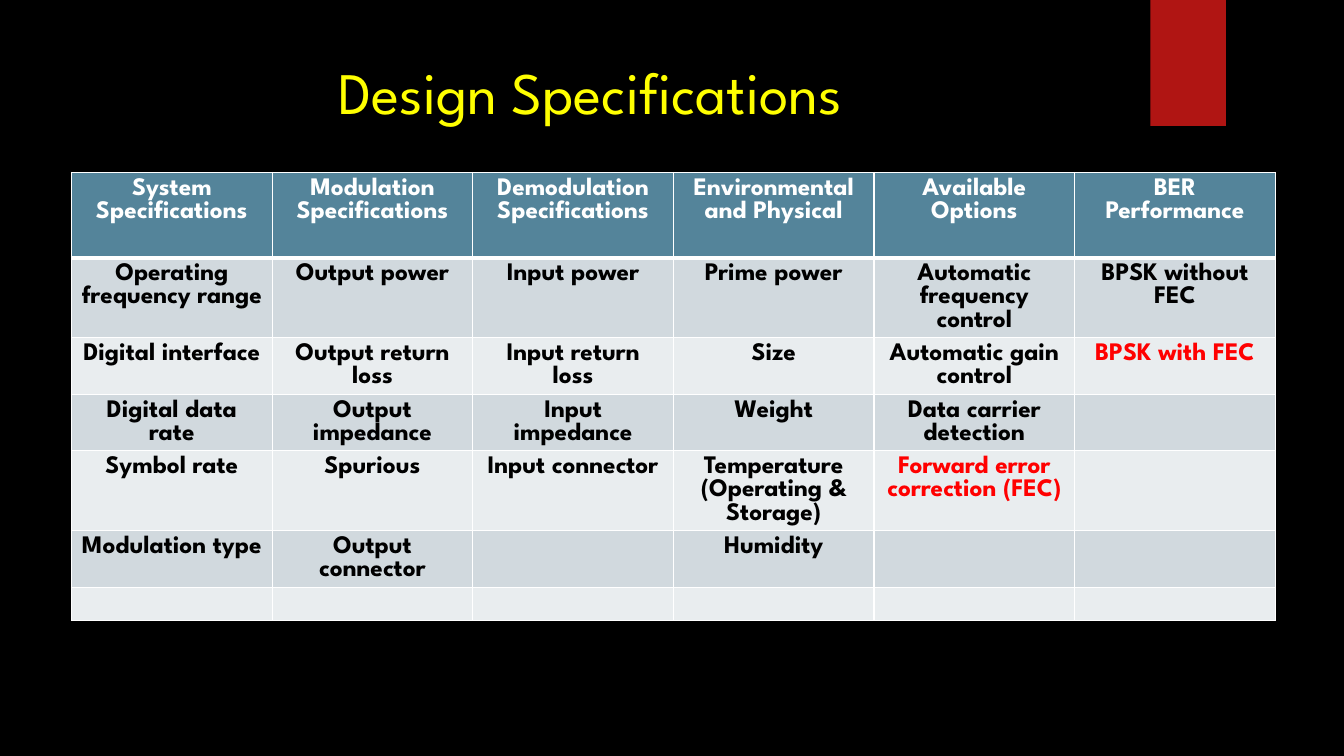
from dataclasses import dataclass

from lxml import etree
from pptx import Presentation
from pptx.dml.color import RGBColor
from pptx.enum.shapes import MSO_SHAPE
from pptx.enum.text import MSO_ANCHOR, MSO_AUTO_SIZE, PP_ALIGN
from pptx.oxml.ns import qn
from pptx.util import Inches, Pt

RECTANGLE = MSO_SHAPE.RECTANGLE
TOP = MSO_ANCHOR.TOP
NO_AUTOFIT = MSO_AUTO_SIZE.NONE
CENTER = PP_ALIGN.CENTER
TITLE_ONLY_LAYOUT = 5


@dataclass(frozen=True)
class Theme:
    font: str = "League Spartan"
    title_size: int = 42
    table_size: int = 18
    background: str = "000000"
    title: str = "FFFF00"
    ribbon: str = "B01513"
    header_fill: str = "54849A"
    header_text: str = "FFFFFF"
    odd_row: str = "D1D9DE"
    even_row: str = "E9EDEF"
    body_text: str = "000000"
    highlight: str = "FF0000"
    border: str = "FFFFFF"
    thin_border: int = 1
    thick_border: int = 3


THEME = Theme()

COLUMN_WIDTH = 1.99
ROW_HEIGHTS = (0.85, 0.75, 0.53, 0.53, 0.75, 0.53, 0.33)
HIGHLIGHTED = {"BPSK with FEC", "Forward error correction (FEC)"}
SPECIFICATIONS = {
    "System Specifications": (
        "Operating frequency range", "Digital interface", "Digital data rate",
        "Symbol rate", "Modulation type"),
    "Modulation Specifications": (
        "Output power", "Output return loss", "Output impedance",
        "Spurious", "Output connector"),
    "Demodulation Specifications": (
        "Input power", "Input return loss", "Input impedance",
        "Input connector"),
    "Environmental and Physical": (
        "Prime power", "Size", "Weight", "Temperature (Operating & Storage)",
        "Humidity"),
    "Available Options": (
        "Automatic frequency control", "Automatic gain control",
        "Data carrier detection", "Forward error correction (FEC)"),
    "BER Performance": ("BPSK without FEC", "BPSK with FEC"),
}


def fill_solid(item, color):
    item.fill.solid()
    item.fill.fore_color.rgb = RGBColor.from_string(color)


def write_text(text_frame, text, *, size, color, bold=False):
    paragraph = text_frame.paragraphs[0]
    paragraph.alignment = CENTER
    run = paragraph.add_run()
    run.text = text
    run.font.name = THEME.font
    run.font.size = Pt(size)
    run.font.bold = bold
    run.font.color.rgb = RGBColor.from_string(color)


def size_empty_cell(cell):
    """Give an empty cell the table's font so that its row stays low."""
    paragraph = cell.text_frame.paragraphs[0]
    properties = etree.SubElement(paragraph._p, qn("a:endParaRPr"),
                                  sz=str(THEME.table_size * 100))
    etree.SubElement(properties, qn("a:latin"), typeface=THEME.font)


def add_borders(cell, *, top, bottom):
    properties = cell._tc.get_or_add_tcPr()
    widths = {"lnL": THEME.thin_border, "lnR": THEME.thin_border,
              "lnT": top, "lnB": bottom}
    for position, (side, width) in enumerate(widths.items()):
        line = etree.Element(qn(f"a:{side}"), w=str(Pt(width)))
        solid = etree.SubElement(line, qn("a:solidFill"))
        etree.SubElement(solid, qn("a:srgbClr"), val=THEME.border)
        properties.insert(position, line)


def add_title(slide, text):
    title = slide.shapes.title
    title.left, title.top = Inches(0.71), Inches(0.5)
    title.width, title.height = Inches(10.29), Inches(1.53)
    title.text_frame.vertical_anchor = TOP
    title.text_frame.auto_size = NO_AUTOFIT
    title.text_frame.word_wrap = True
    write_text(title.text_frame, text, size=THEME.title_size, color=THEME.title)


def add_ribbon(slide):
    ribbon = slide.shapes.add_shape(
        RECTANGLE, Inches(11.41), Inches(0), Inches(0.75), Inches(1.25))
    ribbon.shadow.inherit = False
    fill_solid(ribbon, THEME.ribbon)
    ribbon.line.fill.background()


def format_cell(cell, text, row):
    thin, thick = THEME.thin_border, THEME.thick_border
    if row == 0:
        fill, color = THEME.header_fill, THEME.header_text
    else:
        fill = THEME.odd_row if row % 2 else THEME.even_row
        color = THEME.highlight if text in HIGHLIGHTED else THEME.body_text
    fill_solid(cell, fill)
    add_borders(cell, top=thick if row == 1 else thin,
                bottom=thick if row == 0 else thin)
    if text:
        write_text(cell.text_frame, text, size=THEME.table_size, color=color,
                   bold=True)
    else:
        size_empty_cell(cell)


def add_specification_table(slide):
    row_count, column_count = len(ROW_HEIGHTS), len(SPECIFICATIONS)
    table = slide.shapes.add_table(
        row_count, column_count, Inches(0.71), Inches(1.71),
        Inches(COLUMN_WIDTH * column_count), Inches(sum(ROW_HEIGHTS))).table
    for row, height in zip(table.rows, ROW_HEIGHTS):
        row.height = Inches(height)
    for column, (heading, entries) in enumerate(SPECIFICATIONS.items()):
        table.columns[column].width = Inches(COLUMN_WIDTH)
        texts = (heading, *entries)
        for row in range(row_count):
            text = texts[row] if row < len(texts) else ""
            format_cell(table.cell(row, column), text, row)


def main():
    presentation = Presentation()
    presentation.slide_width = Inches(13.33)
    presentation.slide_height = Inches(7.5)
    layout = presentation.slide_layouts[TITLE_ONLY_LAYOUT]
    slide = presentation.slides.add_slide(layout)
    fill_solid(slide.background, THEME.background)
    add_ribbon(slide)
    add_title(slide, "Design Specifications")
    add_specification_table(slide)
    presentation.save("out.pptx")


if __name__ == "__main__":
    main()
